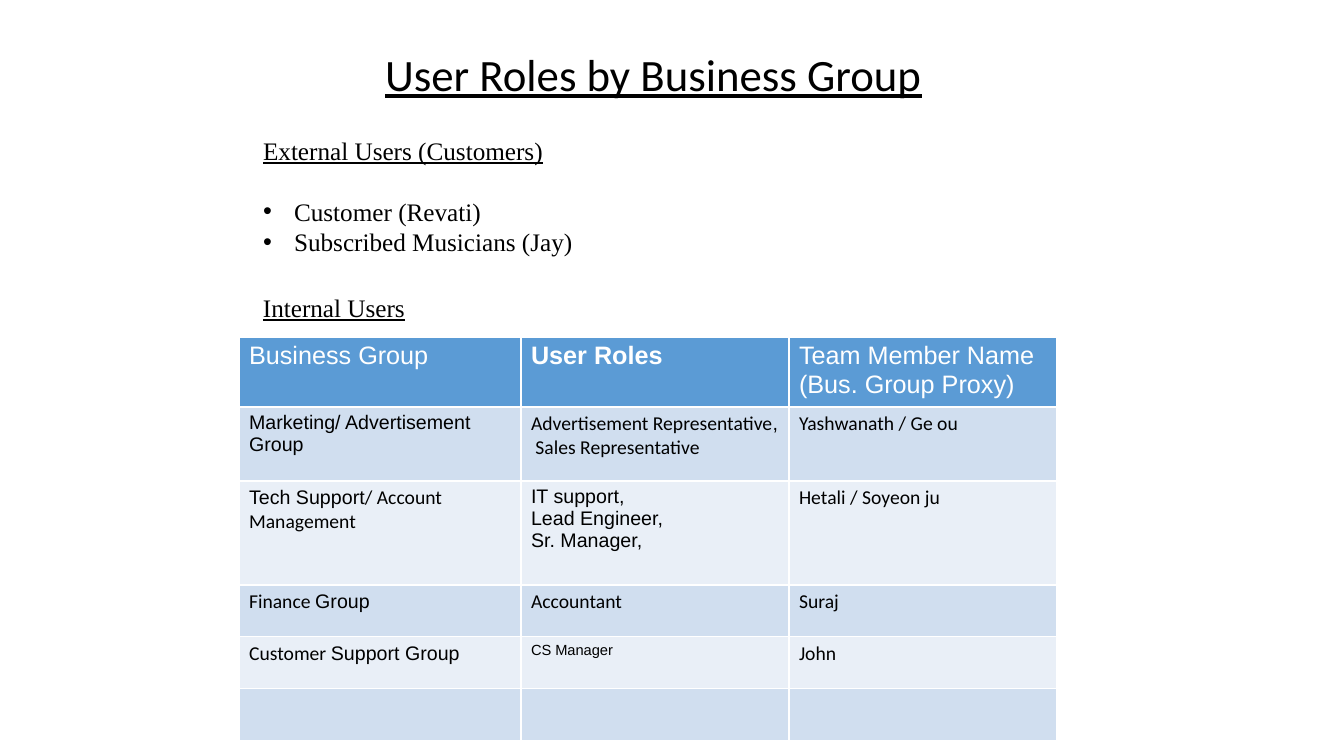
from dataclasses import dataclass

from lxml.etree import SubElement
from pptx import Presentation
from pptx.dml.color import RGBColor as Rgb
from pptx.enum.text import MSO_AUTO_SIZE as Fit, PP_ALIGN as Align
from pptx.oxml.ns import qn
from pptx.util import Emu, Pt

WIDE, HIGH = 1344, 756


@dataclass(frozen=True)
class Theme:
    ink: Rgb = Rgb(0, 0, 0)
    white: Rgb = Rgb(255, 255, 255)
    head: Rgb = Rgb.from_string("5B9BD5")
    odd: Rgb = Rgb.from_string("D0DEEF")
    even: Rgb = Rgb.from_string("E9EFF7")
    sans: str = "Arial"
    soft: str = "Calibri"
    serif: str = "Times New Roman"
    title: float = 32
    large: float = 18
    cell: float = 14
    small: float = 10.5


T = Theme()
A, C = T.sans, T.soft

COLS = [282, 268, 268]
ROWS = [70, 74, 104, 52, 52, 52]
HEADS = [["Business Group"], ["User Roles"], ["Team Member Name", "(Bus. Group Proxy)"]]
# Each cell is a list of lines, each line a list of (text, face) runs.
BODY = [
    [
        [[("Marketing/ Advertisement Group", A)]],
        [[("Advertisement Representative", C), (",", A)], [(" Sales Representative", C)]],
        [[("Yashwanath / Ge ou", C)]],
    ],
    [
        [[("Tech Support", A), ("/ Account Management", C)]],
        [[("IT support,", A)], [("Lead Engineer,", A)], [("Sr. Manager,", A)]],
        [[("Hetali / Soyeon ju", C)]],
    ],
    [
        [[("Finance ", C), ("Group", A)]],
        [[("Accountant", C)]],
        [[("Suraj", C)]],
    ],
    [
        [[("Customer ", C), ("Support Group", A)]],
        [[("CS Manager", A, T.small)]],
        [[("John", C)]],
    ],
    [[], [], []],
]


def px(num):
    return Emu(round(num * 12192000 / WIDE))


def place(shape, left, top, width, height):
    shape.left, shape.top = px(left), px(top)
    shape.width, shape.height = px(width), px(height)


def add_run(para, text, face, size, color=T.ink, bold=False, under=False):
    run = para.add_run()
    run.text = text
    font = run.font
    font.name, font.size = face, Pt(size)
    font.bold, font.underline = bold, under
    font.color.rgb = color


def next_para(frame, index):
    return frame.add_paragraph() if index else frame.paragraphs[0]


def set_bullet(para, mark):
    """Give the paragraph a hanging bullet, or none if mark is empty."""
    props = para._p.get_or_add_pPr()
    hang = px(31) if mark else 0
    props.set("marL", str(hang))
    props.set("indent", str(-hang))
    if mark:
        SubElement(props, qn("a:buFont"), typeface=T.sans)
        SubElement(props, qn("a:buChar"), char=mark)
    else:
        SubElement(props, qn("a:buNone"))


def fill_title(shape):
    place(shape, 373, 41, 561, 65)
    shape.text_frame.auto_size = Fit.NONE
    para = shape.text_frame.paragraphs[0]
    para.alignment = Align.CENTER
    add_run(para, "User Roles by Business Group", C, T.title, under=True)


def fill_list(shape, label, items):
    place(shape, 253, 130, 356, 132)
    frame = shape.text_frame
    frame.auto_size = Fit.NONE
    for index, text in enumerate([label, *items]):
        para = next_para(frame, index)
        set_bullet(para, "•" if index else "")
        para.space_before = Pt(22 if index == 1 else 0)
        add_run(para, text, T.serif, T.large, under=index == 0)


def add_label(slide, text):
    box = slide.shapes.add_textbox(px(253), px(287), px(164), px(40))
    box.text_frame.word_wrap = True
    add_run(box.text_frame.paragraphs[0], text, T.serif, T.large, under=True)


def paint(cell, color):
    cell.fill.solid()
    cell.fill.fore_color.rgb = color


def fill_head(cell, lines, bold):
    paint(cell, T.head)
    for index, text in enumerate(lines):
        para = next_para(cell.text_frame, index)
        add_run(para, text, A, T.large, T.white, bold)


def fill_cell(cell, lines, color):
    paint(cell, color)
    for index, runs in enumerate(lines):
        para = next_para(cell.text_frame, index)
        for text, face, *size in runs:
            add_run(para, text, face, size[0] if size else T.cell)


def add_roles(slide):
    frame = slide.shapes.add_table(
        len(ROWS), len(COLS), px(239), px(337), px(sum(COLS)), px(sum(ROWS)))
    table = frame.table
    for col, width in zip(table.columns, COLS):
        col.width = px(width)
    for row, height in zip(table.rows, ROWS):
        row.height = px(height)
    for col, lines in enumerate(HEADS):
        fill_head(table.cell(0, col), lines, bold=col == 1)
    for row, cells in enumerate(BODY, 1):
        for col, lines in enumerate(cells):
            fill_cell(table.cell(row, col), lines, T.odd if row % 2 else T.even)


def main():
    deck = Presentation()
    deck.slide_width, deck.slide_height = px(WIDE), px(HIGH)
    slide = deck.slides.add_slide(deck.slide_layouts[1])
    fill_title(slide.shapes.title)
    add_roles(slide)
    fill_list(slide.placeholders[1], "External Users (Customers)",
              ["Customer (Revati)", "Subscribed Musicians (Jay)"])
    add_label(slide, "Internal Users")
    deck.save("out.pptx")


if __name__ == "__main__":
    main()
